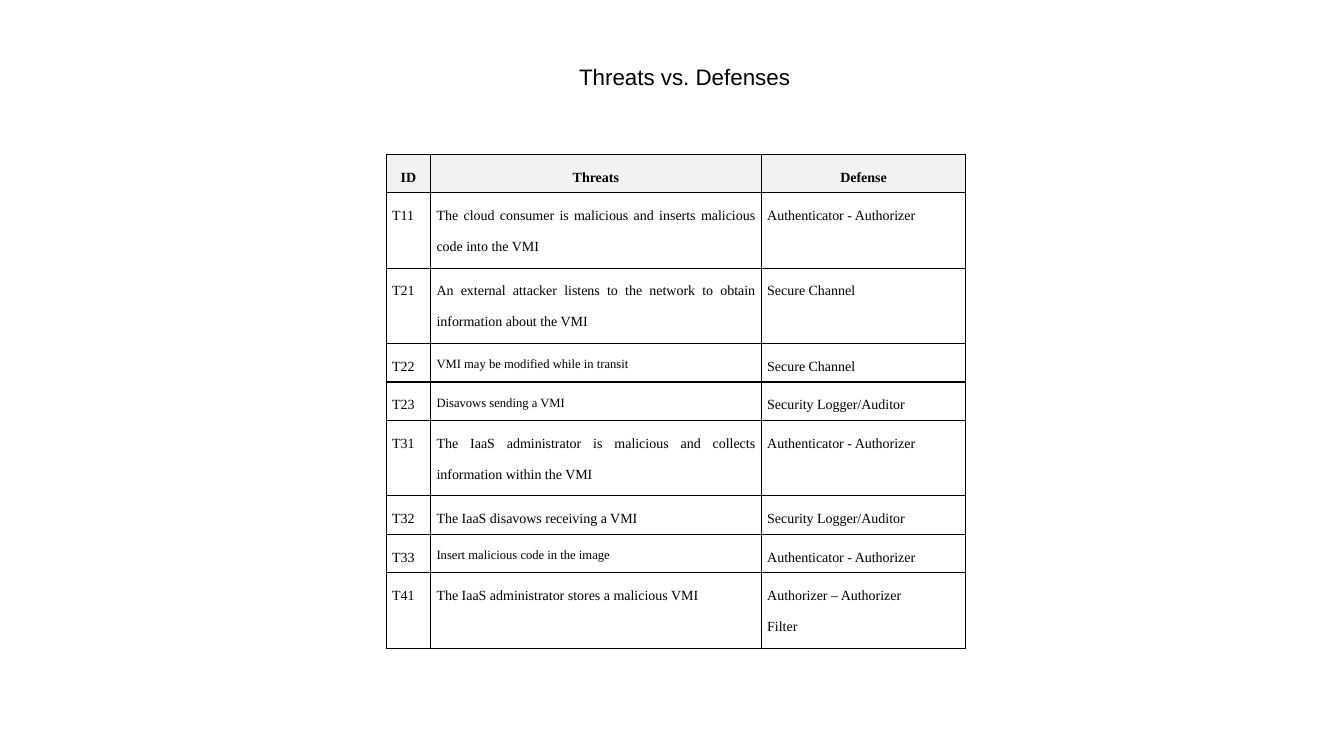
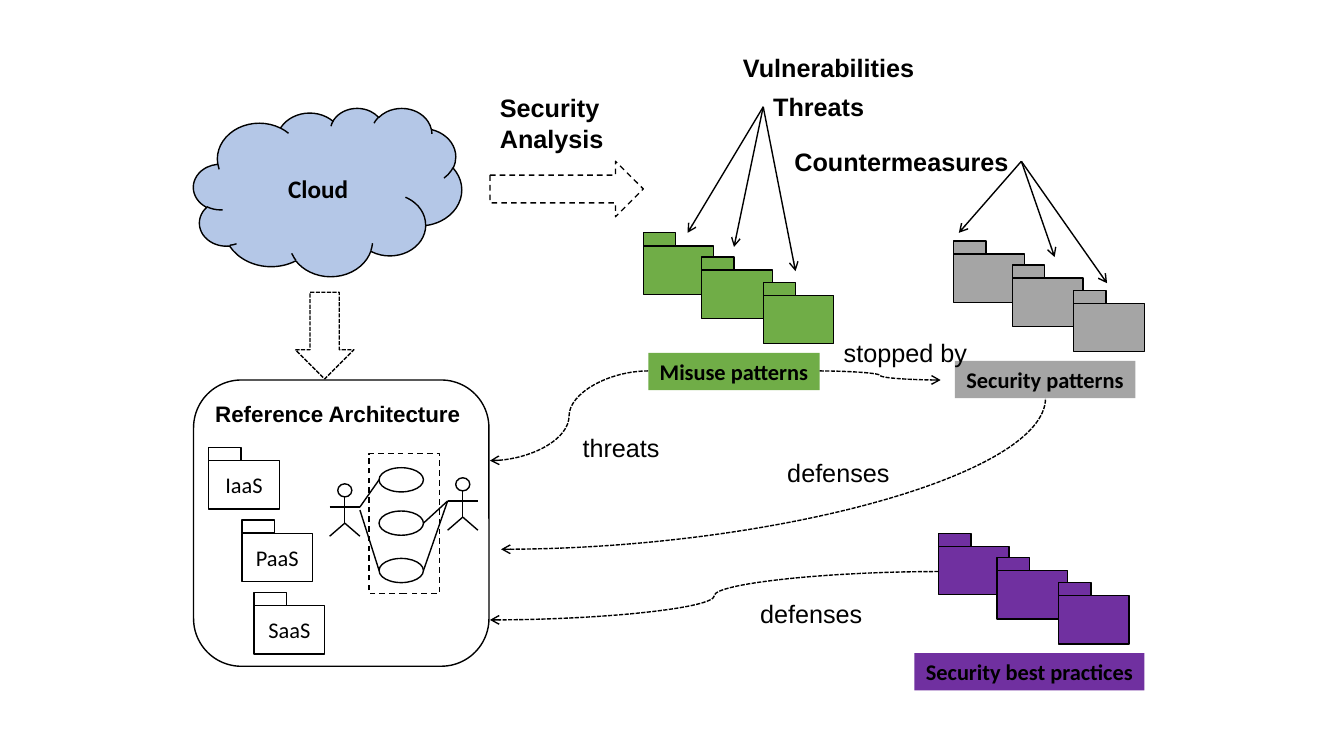
"""Build two slides on cloud security: a threat table and a pattern map."""
import dataclasses

import lxml.etree
import pptx
import pptx.dml.color
import pptx.enum.dml
import pptx.enum.shapes
import pptx.enum.text
import pptx.oxml.ns
import pptx.util

PRESET = pptx.enum.shapes.MSO_SHAPE
LINK = pptx.enum.shapes.MSO_CONNECTOR
DASH = pptx.enum.dml.MSO_LINE
ALIGN = pptx.enum.text.PP_ALIGN
ANCHOR = pptx.enum.text.MSO_ANCHOR
qn = pptx.oxml.ns.qn


@dataclasses.dataclass(frozen=True)
class Theme:
    """Colours, fonts and type sizes shared by the slides."""

    ink: str = "000000"
    paper: str = "FFFFFF"
    header: str = "F2F2F2"
    cloud: str = "B4C7E7"
    misuse: str = "70AD47"
    security: str = "A5A5A5"
    practice: str = "7030A0"
    sans: str = "Arial"
    shape_font: str = "Calibri"
    serif: str = "Times New Roman"
    large: int = 18
    medium: int = 16
    cell: int = 10
    small_cell: int = 9
    line: int = 1


THEME = Theme()

HEADINGS = ("ID", "Threats", "Defense")
THREATS = (
    ("T11", "The cloud consumer is malicious and inserts malicious code into the VMI",
     "Authenticator - Authorizer"),
    ("T21", "An external attacker listens to the network to obtain information about the VMI",
     "Secure Channel"),
    ("T22", "VMI may be modified while in transit", "Secure Channel"),
    ("T23", "Disavows sending a VMI", "Security Logger/Auditor"),
    ("T31", "The IaaS administrator is malicious and collects information within the VMI",
     "Authenticator - Authorizer"),
    ("T32", "The IaaS disavows receiving a VMI", "Security Logger/Auditor"),
    ("T33", "Insert malicious code in the image", "Authenticator - Authorizer"),
    ("T41", "The IaaS administrator stores a malicious VMI", "Authorizer – Authorizer\nFilter"),
)
SMALL_THREATS = {"T22", "T23", "T33"}
TALL_THREATS = {"T11", "T21", "T31", "T41"}


def px(length):
    """Turn px, at 100 to the inch, into EMU."""
    return pptx.util.Emu(length * 9144)


def rgb(code):
    """Turn a hex code into a colour."""
    return pptx.dml.color.RGBColor.from_string(code)


def write(frame, text, font, size, bold=False, align=ALIGN.LEFT, spacing=None):
    """Fill a text frame and format each paragraph."""
    frame.text = text
    for para in frame.paragraphs:
        para.alignment = align
        para.line_spacing = spacing
        para.font.name = font
        para.font.size = pptx.util.Pt(size)
        para.font.bold = bold
        para.font.color.rgb = rgb(THEME.ink)


def outline(line, dash=None):
    """Give a line the shared colour and width."""
    line.color.rgb = rgb(THEME.ink)
    line.width = pptx.util.Pt(THEME.line)
    if dash:
        line.dash_style = dash


def add_box(shapes, preset, left, top, width, height, fill=None, dash=None, lined=True):
    """Add a preset shape with the shared outline."""
    box = shapes.add_shape(preset, px(left), px(top), px(width), px(height))
    box.shadow.inherit = False
    if fill:
        box.fill.solid()
        box.fill.fore_color.rgb = rgb(fill)
    else:
        box.fill.background()
    if lined:
        outline(box.line, dash)
    else:
        box.line.fill.background()
    return box


def add_caption(shapes, text, left, top, width, height=40, size=THEME.large, bold=False,
                align=ALIGN.LEFT):
    """Add a free line of text."""
    box = shapes.add_textbox(px(left), px(top), px(width), px(height))
    box.text_frame.word_wrap = False
    write(box.text_frame, text, THEME.sans, size, bold, align)


def add_line(shapes, start, end, kind=LINK.STRAIGHT, dash=None, arrow=None):
    """Add a connector, with an arrowhead if its end is named."""
    link = shapes.add_connector(kind, *map(px, start + end))
    outline(link.line, dash)
    properties = link.element.spPr
    if arrow:
        head = lxml.etree.SubElement(properties.find(qn("a:ln")), qn(f"a:{arrow}"))
        head.set("type", "arrow")
    lxml.etree.SubElement(properties, qn("a:effectLst"))
    return link


def add_curve(shapes, start, end, arrow="tailEnd"):
    """Add a dashed curved arrow."""
    return add_line(shapes, start, end, LINK.CURVE, DASH.SQUARE_DOT, arrow)


def add_fan(shapes, start, ends):
    """Add arrows from one point to several."""
    for end in ends:
        add_line(shapes, start, end, arrow="tailEnd")


def add_folder(shapes, left, top, fill, text=""):
    """Add a folder made of a body and a tab."""
    body = add_box(shapes, PRESET.RECTANGLE, left, top + 13, 70, 48, fill)
    add_box(shapes, PRESET.RECTANGLE, left, top, 32, 13, fill)
    if text:
        body.text_frame.word_wrap = False
        write(body.text_frame, text, THEME.shape_font, THEME.medium, align=ALIGN.CENTER)


def add_stack(page, left, top, fill, text, label_left, label_width):
    """Add three stepped folders above a coloured label."""
    shapes = page.shapes.add_group_shape().shapes
    for right, down in ((0, 0), (58, 24), (119, 49)):
        add_folder(shapes, left + right, top + down, fill)
    label = add_box(shapes, PRESET.RECTANGLE, label_left, top + 119, label_width, 37, fill,
                    lined=False)
    label.text_frame.word_wrap = False
    write(label.text_frame, text, THEME.shape_font, THEME.medium, True, ALIGN.CENTER)


def add_actor(shapes, centre, top):
    """Add a stick figure."""
    add_box(shapes, PRESET.OVAL, centre - 7, top, 14, 13, THEME.paper)
    hip = (centre, top + 39)
    add_line(shapes, (centre, top + 13), hip)
    add_line(shapes, (centre - 15, top + 23), (centre + 15, top + 23))
    for side in (-15, 15):
        add_line(shapes, hip, (centre + side, top + 52))


def add_architecture(page):
    """Add the reference architecture panel."""
    shapes = page.shapes.add_group_shape().shapes
    add_box(shapes, PRESET.ROUNDED_RECTANGLE, 192, 377, 293, 284)
    add_caption(shapes, "Reference Architecture", 202, 392, 266, 37, THEME.medium, True,
                ALIGN.CENTER)
    for row, (left, name) in enumerate(((207, "IaaS"), (240, "PaaS"), (252, "SaaS"))):
        add_folder(shapes, left, 444 + 72 * row, THEME.paper, name)
    add_actor(shapes, 342, 480)
    add_actor(shapes, 459, 474)
    for top in (464, 507, 554):
        add_box(shapes, PRESET.OVAL, 376, top, 44, 24, THEME.paper)
    for start, end in (((357, 503), (376, 476)), ((357, 506), (376, 566)),
                       ((444, 497), (420, 519)), ((444, 497), (420, 566))):
        add_line(shapes, start, end)
    add_box(shapes, PRESET.RECTANGLE, 366, 450, 70, 139, dash=DASH.DASH)


def format_cell(cell, text, size, header):
    """Fill a table cell and draw its borders."""
    cell.margin_left = cell.margin_right = px(6)
    cell.margin_top = cell.margin_bottom = 0
    write(cell.text_frame, text, THEME.serif, size, header,
          ALIGN.CENTER if header else ALIGN.JUSTIFY, 2.0)
    properties = cell._tc.get_or_add_tcPr()
    for side in ("lnL", "lnR", "lnT", "lnB"):
        border = lxml.etree.SubElement(properties, qn(f"a:{side}"),
                                       w=str(pptx.util.Pt(THEME.line)))
        paint = lxml.etree.SubElement(border, qn("a:solidFill"))
        lxml.etree.SubElement(paint, qn("a:srgbClr"), val=THEME.ink)
    if header:
        cell.fill.solid()
        cell.fill.fore_color.rgb = rgb(THEME.header)
    else:
        cell.fill.background()


def build_threat_table(deck):
    """Build the slide that sets threats against defenses."""
    page = deck.slides.add_slide(deck.slide_layouts[5])
    title = page.shapes.title
    title.left, title.top, title.width, title.height = map(px, (479, 56, 400, 40))
    title.text_frame.vertical_anchor = ANCHOR.MIDDLE
    write(title.text_frame, "Threats vs. Defenses", THEME.sans, THEME.medium,
          align=ALIGN.CENTER)
    rows = (HEADINGS,) + THREATS
    table = page.shapes.add_table(len(rows), len(HEADINGS), px(383), px(153), px(575),
                                  px(489)).table
    for column, width in zip(table.columns, (44, 328, 203)):
        column.width = px(width)
    for number, texts in enumerate(rows):
        table.rows[number].height = px(75 if texts[0] in TALL_THREATS else 38)
        for place, text in enumerate(texts):
            small = place == 1 and texts[0] in SMALL_THREATS
            format_cell(table.cell(number, place), text,
                        THEME.small_cell if small else THEME.cell, number == 0)


def build_pattern_map(deck):
    """Build the slide that links patterns to the architecture."""
    page = deck.slides.add_slide(deck.slide_layouts[6])
    shapes = page.shapes
    add_architecture(page)
    cloud = add_box(shapes, PRESET.CLOUD, 192, 107, 266, 167, THEME.cloud)
    write(cloud.text_frame, "Cloud", THEME.shape_font, THEME.large, True, ALIGN.CENTER)
    add_box(shapes, PRESET.DOWN_ARROW, 293, 290, 58, 86, THEME.paper, DASH.SQUARE_DOT)
    add_box(shapes, PRESET.RIGHT_ARROW, 486, 160, 152, 55, THEME.paper, DASH.DASH)
    add_stack(page, 638, 231, THEME.misuse, "Misuse patterns", 643, 170)
    add_stack(page, 946, 239, THEME.security, "Security patterns", 947, 179)
    add_stack(page, 931, 529, THEME.practice, "Security best practices", 907, 228)
    for text, left, top, width, height in (
            ("Security\nAnalysis", 486, 87, 124, 71), ("Vulnerabilities", 727, 47, 192, 40),
            ("Threats", 757, 86, 111, 40), ("Countermeasures", 778, 140, 235, 40)):
        add_caption(shapes, text, left, top, width, height, bold=True)
    for text, left, top, width in (("stopped by", 827, 330, 144), ("threats", 568, 424, 97),
                                   ("defenses", 771, 449, 123), ("defenses", 744, 589, 123)):
        add_caption(shapes, text, left, top, width)
    add_fan(shapes, (757, 106), ((682, 231), (728, 245), (789, 269)))
    add_fan(shapes, (1013, 160), ((951, 231), (1046, 255), (1098, 281)))
    add_curve(shapes, (813, 368), (933, 377))
    add_curve(shapes, (643, 368), (486, 457))
    add_curve(shapes, (931, 567), (486, 615))
    sweep = add_curve(shapes, (497, 545), (1037, 395), "headEnd")
    sweep.element.spPr.find(qn("a:prstGeom")).set("prst", "curvedConnector2")


def main():
    """Build and save the deck."""
    deck = pptx.Presentation()
    deck.slide_width, deck.slide_height = px(1333), px(750)
    build_threat_table(deck)
    build_pattern_map(deck)
    deck.save("out.pptx")


if __name__ == "__main__":
    main()
